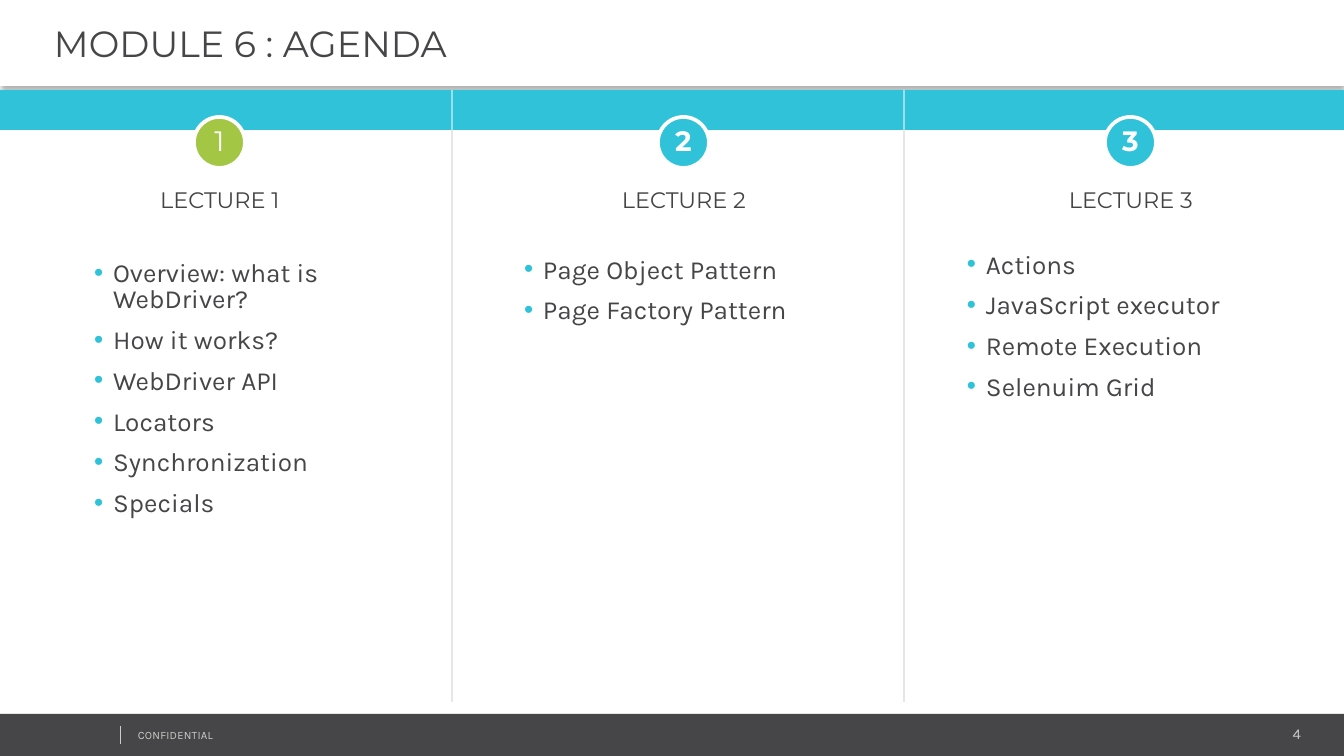
"""Builds the Module 6 agenda slide with three lecture columns."""
import pptx
import pptx.dml.color
import pptx.enum.shapes
import pptx.enum.text
import pptx.oxml
import pptx.oxml.ns
import pptx.util

SCALE = 914400 / 134.4
WIDTH, HEIGHT = 1344, 756
COLORS = {
    "white": "FFFFFF", "dark": "464547", "heading": "444444", "cyan": "2FC2D9",
    "green": "A3C644", "rule": "E6E6E6", "muted": "CCCCCC", "black": "000000",
}
LECTURES = [
    {"center": 219, "list": (81, 255, 344, 274), "badge": "green", "bold": False,
     "topics": ["Overview: what is WebDriver?", "How it works?", "WebDriver API",
                "Locators", "Synchronization", "Specials"]},
    {"center": 683, "list": (511, 255, 344, 120), "badge": "cyan", "bold": True,
     "topics": ["Page Object Pattern", "Page Factory Pattern"]},
    {"center": 1130, "list": (954, 250, 344, 202), "badge": "cyan", "bold": True,
     "topics": ["Actions", "JavaScript executor", "Remote Execution", "Selenuim Grid"]},
]
SHAPE = pptx.enum.shapes.MSO_SHAPE
ALIGN = pptx.enum.text.PP_ALIGN
ANCHOR = pptx.enum.text.MSO_ANCHOR


def px(length):
    return pptx.util.Emu(round(length * SCALE))


def rgb(color):
    return pptx.dml.color.RGBColor.from_string(COLORS[color])


def element(xml):
    return pptx.oxml.parse_xml(xml.replace(" ", f" {pptx.oxml.ns.nsdecls('a')} ", 1))


class AgendaSlide:
    heading_font = "Montserrat"
    body_font = "Karla"

    def __init__(self, slide):
        self.slide = slide
        self.shapes = slide.shapes

    def fill_text(self, shape, lines, size, color, font, align=ALIGN.LEFT, bold=False,
                  insets=(13, 7, 13, 7), anchor=ANCHOR.TOP):
        frame = shape.text_frame
        frame.text = "\n".join(lines)
        frame.word_wrap = True
        frame.vertical_anchor = anchor
        (frame.margin_left, frame.margin_top,
         frame.margin_right, frame.margin_bottom) = map(px, insets)
        for paragraph in frame.paragraphs:
            paragraph.alignment = align
            for run in paragraph.runs:
                run.font.name = font
                run.font.size = pptx.util.Pt(size)
                run.font.bold = bold
                run.font.color.rgb = rgb(color)
        return frame.paragraphs

    def block(self, box, fill, kind=SHAPE.RECTANGLE, outline=None):
        shape = self.shapes.add_shape(kind, *map(px, box))
        shape.shadow.inherit = False
        shape.fill.solid()
        shape.fill.fore_color.rgb = rgb(fill)
        if outline:
            shape.line.color.rgb = rgb(outline)
            shape.line.width = pptx.util.Pt(2)
        else:
            shape.line.fill.background()
        return shape

    def text(self, box, lines, size, color, font, **style):
        return self.fill_text(self.shapes.add_textbox(*map(px, box)),
                              lines, size, color, font, **style)

    def rule(self, x, top, bottom, color, width, opacity=100):
        line = self.shapes.add_connector(
            pptx.enum.shapes.MSO_CONNECTOR.STRAIGHT, px(x), px(top), px(x), px(bottom))
        line.line.color.rgb = rgb(color)
        line.line.width = pptx.util.Pt(width)
        properties = line._element.spPr
        if opacity < 100:
            fill = properties.find(".//" + pptx.oxml.ns.qn("a:srgbClr"))
            fill.append(element(f'<a:alpha val="{opacity * 1000}"/>'))
        properties.append(element("<a:effectLst />"))

    def title(self, wording):
        header = self.block((0, 0, WIDTH, 86), "white")
        effects = header._element.spPr.find(pptx.oxml.ns.qn("a:effectLst"))
        effects.append(element(
            '<a:outerShdw blurRad="39370" dist="25400" dir="5400000" rotWithShape="0">'
            f'<a:srgbClr val="{COLORS["black"]}"><a:alpha val="30000"/></a:srgbClr>'
            "</a:outerShdw>"))
        self.fill_text(header, [wording], 19.5, "dark", self.heading_font,
                       insets=(54, 7, 13, 7), anchor=ANCHOR.MIDDLE)

    def badge(self, center, number, fill, bold):
        circle = self.block((center - 25, 117, 51, 51), fill, SHAPE.OVAL, "white")
        self.fill_text(circle, [number], 15, "white", self.heading_font,
                       align=ALIGN.CENTER, bold=bold, insets=(0, 3, 0, 7),
                       anchor=ANCHOR.MIDDLE)

    def heading(self, center, wording):
        heading, = self.text((center - 106, 181, 214, 40), [wording], 12, "heading",
                             self.heading_font, align=ALIGN.CENTER)
        heading.line_spacing = pptx.util.Pt(13.5)

    def bullets(self, box, topics):
        for topic in self.text(box, topics, 14, "dark", self.body_font):
            wraps = topic.text == LECTURES[0]["topics"][0]
            topic.line_spacing = pptx.util.Pt(14 if wraps else 12)
            topic.space_after = pptx.util.Pt(9.8)
            properties = topic._p.get_or_add_pPr()
            properties.set("marL", str(px(19)))
            properties.set("indent", str(-px(19)))
            properties.append(element(
                f'<a:buClr ><a:srgbClr val="{COLORS["cyan"]}"/></a:buClr>'))
            properties.append(element('<a:buFont typeface="Arial"/>'))
            properties.append(element('<a:buChar char="•"/>'))

    def footer(self, label, number):
        insets = (9, 5, 9, 5)
        self.block((0, 714, WIDTH, 42), "dark")
        self.text((1091, 720, 219, 28), [number], 8, "muted", self.body_font,
                  align=ALIGN.RIGHT, insets=insets)
        confidential, = self.text((129, 723, 340, 24), [label], 6, "muted",
                                  self.body_font, insets=insets)
        confidential.runs[0].font._element.set("spc", "10")
        self.rule(120, 726, 744, "muted", 0.25)


def main():
    deck = pptx.Presentation()
    deck.slide_width, deck.slide_height = px(WIDTH), px(HEIGHT)
    agenda = AgendaSlide(deck.slides.add_slide(deck.slide_layouts[6]))
    agenda.footer("CONFIDENTIAL", "4")
    agenda.title("MODULE 6 : AGENDA")
    agenda.block((0, 90, WIDTH, 40), "cyan")
    for divider in (452, 904):
        agenda.rule(divider, 90, 130, "white", 1, opacity=50)
        agenda.rule(divider, 130, 702, "rule", 1)
    for number, lecture in enumerate(LECTURES, 1):
        agenda.badge(lecture["center"], str(number), lecture["badge"], lecture["bold"])
        agenda.heading(lecture["center"], f"LECTURE {number}")
        agenda.bullets(lecture["list"], lecture["topics"])
    deck.save("out.pptx")


if __name__ == "__main__":
    main()
